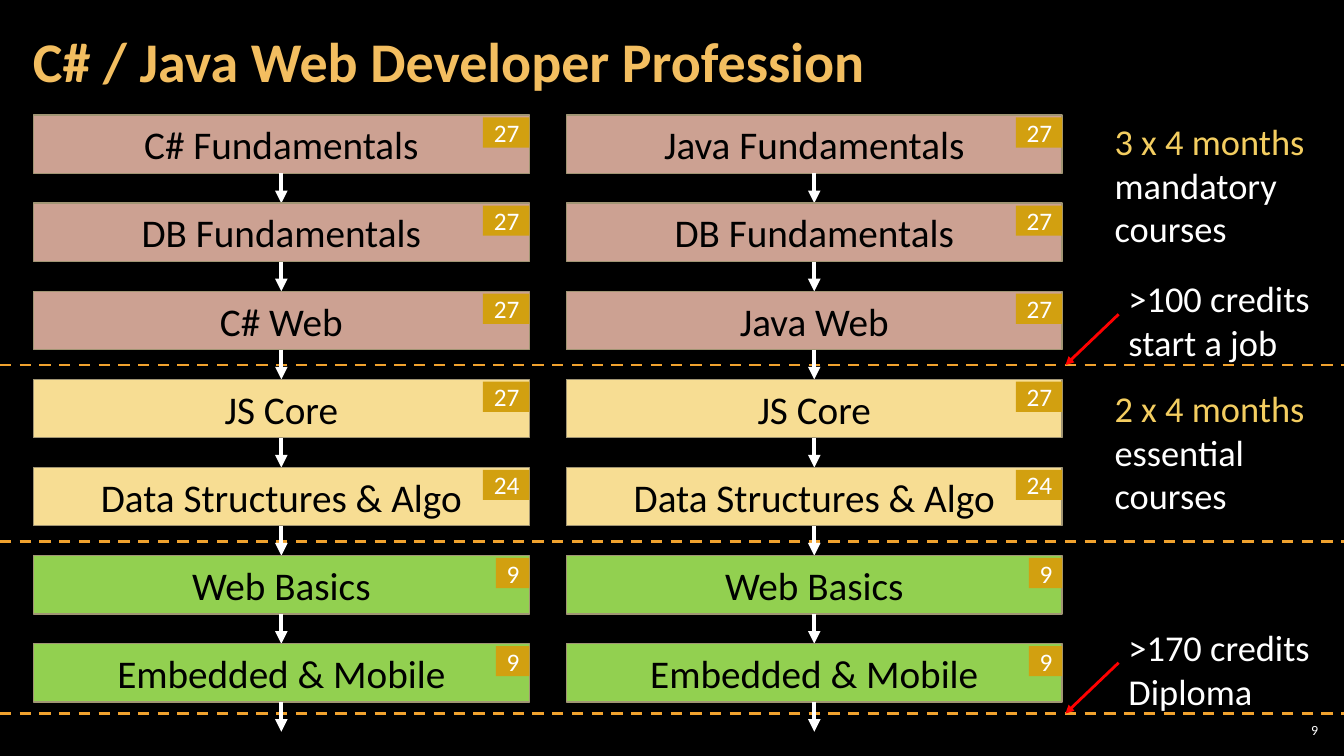
from dataclasses import dataclass

from lxml.etree import SubElement
from pptx import Presentation
from pptx.dml.color import RGBColor
from pptx.enum.dml import MSO_LINE
from pptx.enum.shapes import MSO_CONNECTOR as Connector, MSO_SHAPE as Preset
from pptx.enum.text import MSO_ANCHOR as Anchor, MSO_AUTO_SIZE as AutoSize, PP_ALIGN as Align
from pptx.oxml.ns import qn
from pptx.util import Cm, Pt

TITLE = "C# / Java Web Developer Profession"
PAGE_NUMBER = "9"
COURSES = [
    ("C# Fundamentals", "Java Fundamentals", "27", "mandatory"),
    ("DB Fundamentals", "DB Fundamentals", "27", "mandatory"),
    ("C# Web", "Java Web", "27", "mandatory"),
    ("JS Core", "JS Core", "27", "essential"),
    ("Data Structures & Algo", "Data Structures & Algo", "24", "essential"),
    ("Web Basics", "Web Basics", "9", "elective"),
    ("Embedded & Mobile", "Embedded & Mobile", "9", "elective"),
]
STAGE_NOTES = [
    (2.87, ["3 x 4 months", "mandatory", "courses"]),
    (9.6, ["2 x 4 months", "essential", "courses"]),
]
MILESTONES = [
    (9.2, [">100 credits", "start a job"]),
    (13.64, []),
    (17.98, [">170 credits", "Diploma"]),
]


@dataclass(frozen=True)
class Theme:
    font: str = "Calibri"
    background: str = "000000"
    title: str = "F3BE60"
    text: str = "FFFFFF"
    course_text: str = "000000"
    course_border: str = "A19574"
    mandatory: str = "CCA192"
    essential: str = "F7DD93"
    elective: str = "92D050"
    badge: str = "D2A010"
    highlight: str = "F3CD60"
    milestone: str = "F0A22E"
    pointer: str = "FF0000"
    title_size: int = 40
    course_size: int = 28
    note_size: int = 26
    badge_size: int = 18
    page_size: int = 10


THEME = Theme()
SLIDE_WIDTH, SLIDE_HEIGHT = 33.87, 19.05
COLUMN_LEFTS = (0.84, 14.27)
COURSE_WIDTH, COURSE_HEIGHT = 12.5, 1.47
FIRST_TOP, ROW_PITCH = 2.9, 2.22
BADGE_HEIGHT, BADGE_OFFSET = 0.76, 0.06
BADGE_WIDTHS = {1: 0.84, 2: 1.17}
NOTE_LEFT, MILESTONE_LEFT = 27.84, 28.19
POINTER_END, POINTER_RISE = 26.85, 1.28


def rgb(color):
    return RGBColor.from_string(color)


def write(shape, lines, size, colors, align=Align.LEFT, anchor=Anchor.TOP,
          insets=(0.25, 0.13), bold=False, wrap=True):
    frame = shape.text_frame
    frame.text = "\n".join(lines)
    frame.word_wrap = wrap
    frame.vertical_anchor = anchor
    frame.margin_left = frame.margin_right = Cm(insets[0])
    frame.margin_top = frame.margin_bottom = Cm(insets[1])
    for paragraph, color in zip(frame.paragraphs, colors):
        paragraph.alignment = align
        for run in paragraph.runs:
            run.font.name = THEME.font
            run.font.size = Pt(size)
            run.font.bold = bold
            run.font.color.rgb = rgb(color)
    return frame


def add_text(slide, box, lines, size, colors, **options):
    shape = slide.shapes.add_textbox(*map(Cm, box))
    return write(shape, lines, size, colors, **options)


def add_box(slide, box, fill, border=None):
    shape = slide.shapes.add_shape(Preset.RECTANGLE, *map(Cm, box))
    shape.shadow.inherit = False
    shape.fill.solid()
    shape.fill.fore_color.rgb = rgb(fill)
    if border:
        shape.line.color.rgb = rgb(border)
        shape.line.width = Pt(1)
    else:
        shape.line.fill.background()
    return shape


def add_line(slide, start, end, color, width, arrow=False, dashed=False):
    connector = slide.shapes.add_connector(Connector.STRAIGHT, *map(Cm, start + end))
    connector.line.color.rgb = rgb(color)
    connector.line.width = Pt(width)
    if dashed:
        connector.line.dash_style = MSO_LINE.DASH
    if arrow:
        SubElement(connector.line._get_or_add_ln(), qn("a:tailEnd"), type="triangle")
    SubElement(connector._element.spPr, qn("a:effectLst"))


def add_course(slide, left, top, name, credits, stage):
    course = add_box(slide, (left, top, COURSE_WIDTH, COURSE_HEIGHT),
                     getattr(THEME, stage), THEME.course_border)
    frame = write(course, [name], THEME.course_size, [THEME.course_text],
                  align=Align.CENTER, anchor=Anchor.MIDDLE, insets=(0.25, 0))
    frame.paragraphs[0].space_before = frame.paragraphs[0].space_after = Pt(3)

    badge_width = BADGE_WIDTHS[len(credits)]
    badge = add_box(slide, (left + COURSE_WIDTH - badge_width, top + BADGE_OFFSET,
                            badge_width, BADGE_HEIGHT), THEME.badge)
    frame = write(badge, [credits], THEME.badge_size, [THEME.text], align=Align.RIGHT,
                  anchor=Anchor.MIDDLE, insets=(0.25, 0), wrap=False)
    frame.auto_size = AutoSize.SHAPE_TO_FIT_TEXT

    center, bottom = left + COURSE_WIDTH / 2, top + COURSE_HEIGHT
    add_line(slide, (center, bottom), (center, top + ROW_PITCH), THEME.text, 3, arrow=True)


def main():
    presentation = Presentation()
    presentation.slide_width, presentation.slide_height = Cm(SLIDE_WIDTH), Cm(SLIDE_HEIGHT)
    slide = presentation.slides.add_slide(presentation.slide_layouts[6])
    slide.background.fill.solid()
    slide.background.fill.fore_color.rgb = rgb(THEME.background)

    title = add_text(slide, (0.53, 0.1, 26.59, 3.07), [TITLE], THEME.title_size,
                     [THEME.title], anchor=Anchor.MIDDLE, insets=(0.3, 0.1), bold=True)
    title.paragraphs[0].line_spacing = 0.9
    add_text(slide, (32.13, 18.14, 1.19, 0.53), [PAGE_NUMBER], THEME.page_size,
             [THEME.text], align=Align.RIGHT, anchor=Anchor.MIDDLE, insets=(0.1, 0.1))

    for y, lines in MILESTONES:
        add_line(slide, (0, y), (SLIDE_WIDTH, y), THEME.milestone, 2, dashed=True)
        if lines:
            add_text(slide, (MILESTONE_LEFT, y - 2.36, 5.13, 2.16), lines,
                     THEME.note_size, [THEME.text] * len(lines), wrap=False)
            add_line(slide, (MILESTONE_LEFT, y - POINTER_RISE), (POINTER_END, y),
                     THEME.pointer, 2, arrow=True)

    for top, lines in STAGE_NOTES:
        add_text(slide, (NOTE_LEFT, top, 5.82, 3.12), lines, THEME.note_size,
                 [THEME.highlight, THEME.text, THEME.text])

    for row, (*names, credits, stage) in enumerate(COURSES):
        for left, name in zip(COLUMN_LEFTS, names):
            add_course(slide, left, FIRST_TOP + row * ROW_PITCH, name, credits, stage)

    presentation.save("out.pptx")


if __name__ == "__main__":
    main()
